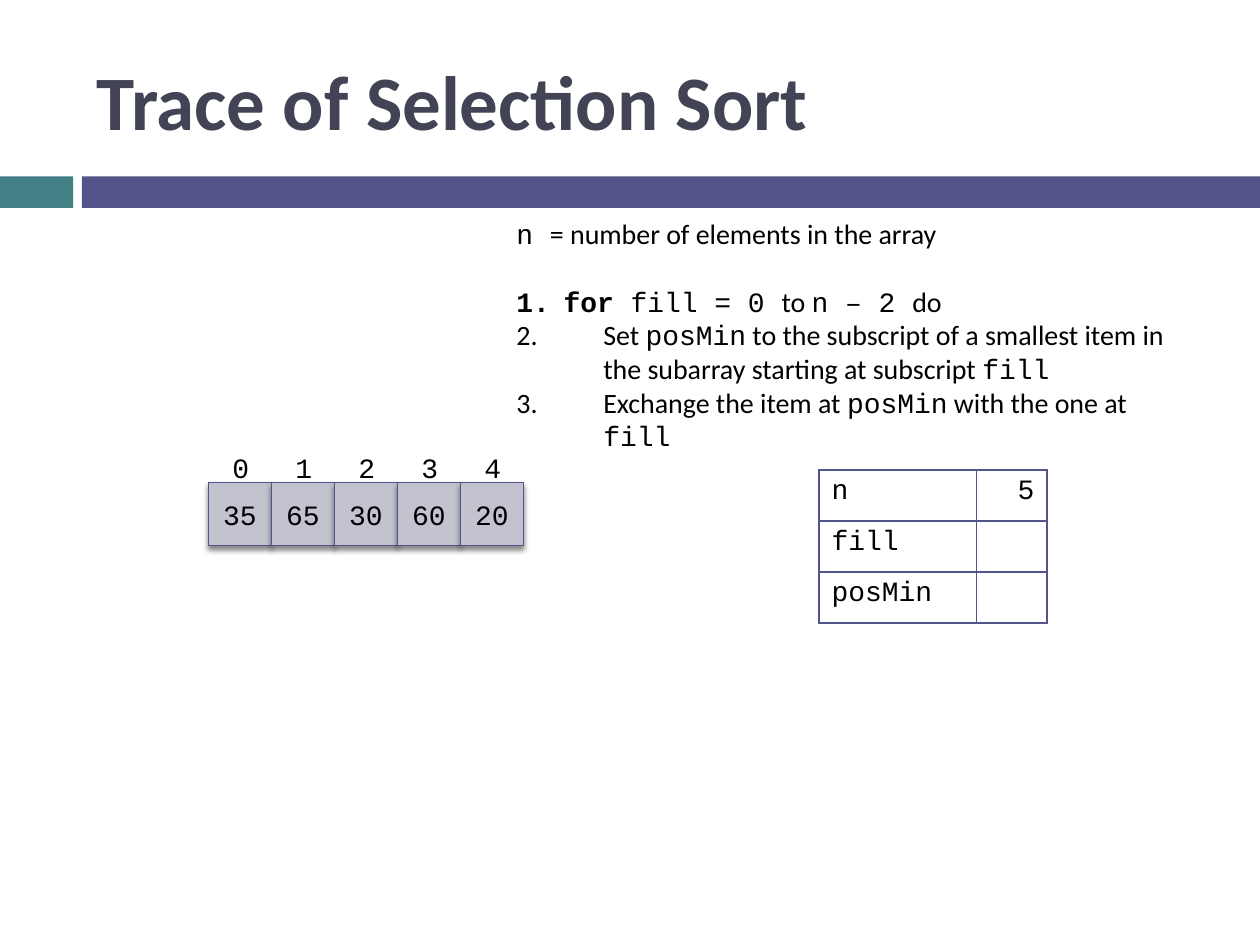
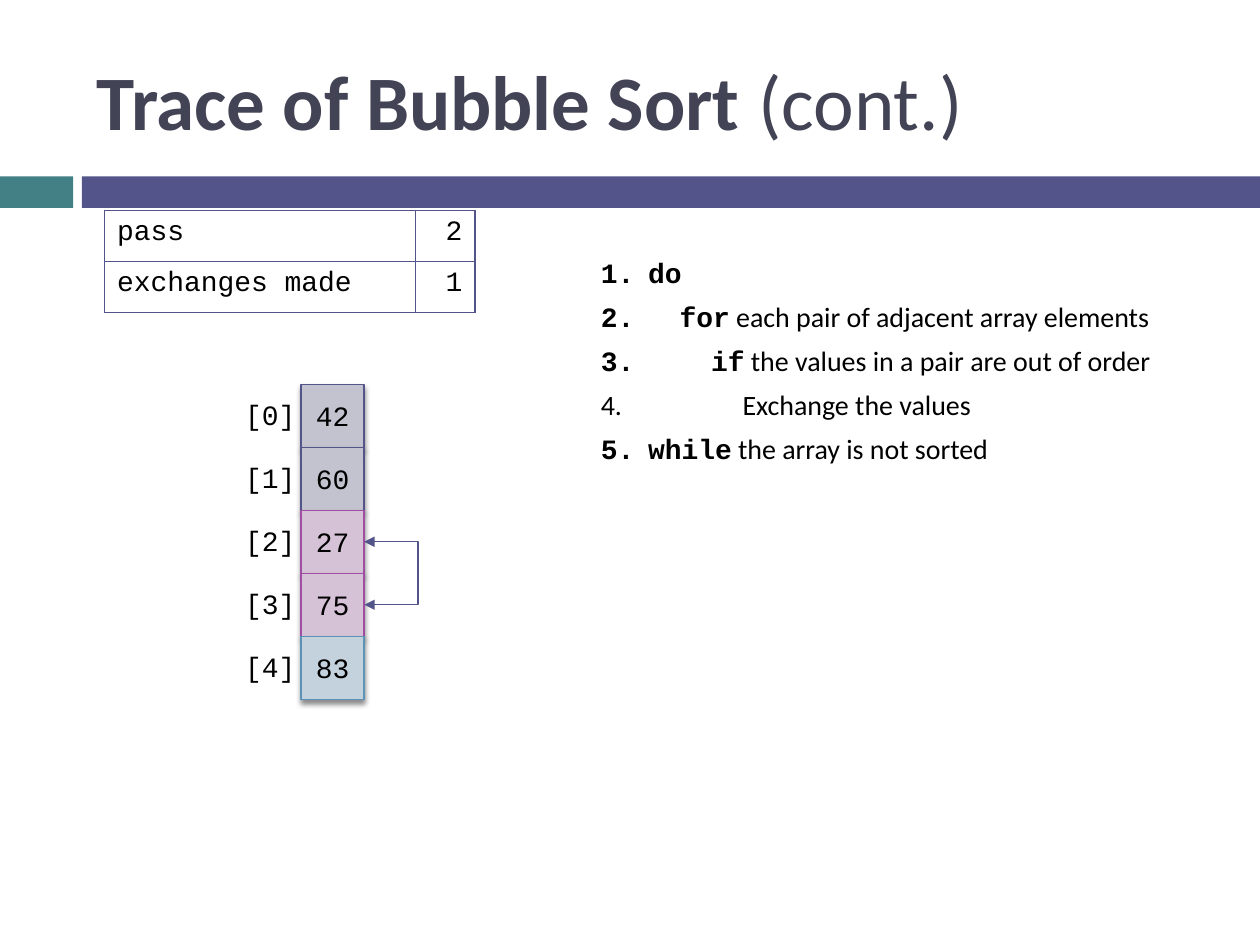
from lxml.etree import SubElement
from pptx import Presentation
from pptx.dml.color import RGBColor
from pptx.enum.shapes import MSO_CONNECTOR, MSO_SHAPE
from pptx.enum.text import MSO_ANCHOR, PP_ALIGN
from pptx.oxml import parse_xml
from pptx.oxml.ns import nsdecls, qn
from pptx.util import Emu, Inches, Pt

theme = {
    "ink": "000000", "head": "424456", "teal": "438086", "line": "53548A",
    "thin": Pt(0.79), "edge": Pt(1),
    "tones": {"plain": ("C3C3CF", "53548A"), "pair": ("D6C2D7", "A04DA3"),
              "done": ("C4D2DE", "5C92B5")},
    "type": {
        "text": {"name": "Calibri", "size": Pt(16), "bold": False},
        "code": {"name": "Courier New", "size": Pt(16), "bold": False},
        "key": {"name": "Courier New", "size": Pt(16), "bold": True},
        "title": {"name": "Calibri", "size": Pt(44), "bold": True},
        "light": {"name": "Calibri", "size": Pt(44), "bold": False},
    },
}
left = {"alignment": PP_ALIGN.LEFT}
mid = {"alignment": PP_ALIGN.CENTER}
right = {"alignment": PP_ALIGN.RIGHT}
step = {"space_after": Pt(6)}

deck = Presentation()
deck.slide_width, deck.slide_height = Inches(10), Inches(7.5)
unit = deck.slide_width / 20


def grid(*counts):
    return [Emu(int(n * unit)) for n in counts]


def write(frame, lines, tint=theme["ink"]):
    frame.word_wrap = True
    for i, (runs, form, dent) in enumerate(lines):
        para = frame.add_paragraph() if i else frame.paragraphs[0]
        for name, value in form.items():
            setattr(para, name, value)
        if dent:
            props = para._p.get_or_add_pPr()
            size = grid(dent)[0]
            props.set("marL", str(size))
            props.set("indent", str(-size))
            SubElement(props, qn("a:buAutoNum"), type="arabicPeriod")
        for style, words in runs:
            run = para.add_run()
            run.text = words
            for name, value in theme["type"][style].items():
                setattr(run.font, name, value)
            run.font.color.rgb = RGBColor.from_string(tint)


pages = [
    {
        "title": [("title", "Trace of Selection Sort")],
        "steps": (8, 3.34, 11.16, 3.44),
        "lines": [
            ([("code", "n "), ("text", "= number of elements in the array")],
             {"space_after": Pt(19.5)}, 0),
            ([("key", "for"), ("code", " fill = 0 "), ("text", "to "),
              ("code", "n – 2 "), ("text", "do")], {}, 0.75),
            ([("text", "Set "), ("code", "posMin"),
              ("text", " to the subscript of a smallest item in the subarray"
                       " starting at subscript "),
              ("code", "fill")], {}, 1.38),
            ([("text", "Exchange the item at "), ("code", "posMin"),
              ("text", " with the one at "), ("code", "fill")], {}, 1.38),
        ],
        "cells": [(n, "plain") for n in (35, 65, 30, 60, 20)],
        "start": (3.31, 7.66), "move": (1, 0),
        "label": "{}", "tag": (3.34, 7.06, 0.96, 0.74),
        "table": (13, 7.46), "cols": (2.5, 1.12),
        "rows": [("n", "5"), ("fill", ""), ("posMin", "")],
    },
    {
        "title": [("title", "Trace of Bubble Sort "), ("light", "(cont.)")],
        "steps": (9.34, 3.96, 10.34, 4.28),
        "lines": [
            ([("key", "do")], step, 0.75),
            ([("key", "for"),
              ("text", " each pair of adjacent array elements")], step, 1.25),
            ([("key", "if"),
              ("text", " the values in a pair are out of order")], step, 1.75),
            ([("text", "Exchange the values")], step, 2.25),
            ([("key", "while"),
              ("text", " the array is not sorted")], step, 0.75),
        ],
        "cells": [(42, "plain"), (60, "plain"), (27, "pair"), (75, "pair"),
                  (83, "done")],
        "start": (4.78, 6.1), "move": (0, 1),
        "label": "[{}]", "tag": (3.56, 6.22, 1.46, 0.74),
        "table": (1.66, 3.34), "cols": (4.94, 0.94),
        "rows": [("pass", "2"), ("exchanges made", "1")],
    },
]

for page in pages:
    slide = deck.slides.add_slide(deck.slide_layouts[6])
    shapes = slide.shapes

    for spot, tint in (((0, 2.8, 1.16, 0.5), "teal"),
                       ((1.3, 2.8, 18.7, 0.5), "line")):
        band = shapes.add_shape(MSO_SHAPE.RECTANGLE, *grid(*spot))
        band.shadow.inherit = False
        band.fill.solid()
        band.fill.fore_color.rgb = RGBColor.from_string(theme[tint])
        band.line.fill.background()

    title = shapes.add_textbox(*grid(1.34, 0.5, 17.84, 2.16))
    title.text_frame.vertical_anchor = MSO_ANCHOR.MIDDLE
    write(title.text_frame, [(page["title"], left, 0)], theme["head"])

    steps = shapes.add_textbox(*grid(*page["steps"]))
    write(steps.text_frame, page["lines"])

    across, down = page["move"]
    x, y = page["start"]
    for i, (value, tone) in enumerate(page["cells"]):
        fill, edge = theme["tones"][tone]
        cell = shapes.add_shape(MSO_SHAPE.RECTANGLE,
                                *grid(x + i * across, y + i * down, 1, 1))
        cell.fill.solid()
        cell.fill.fore_color.rgb = RGBColor.from_string(fill)
        cell.line.color.rgb = RGBColor.from_string(edge)
        cell.line.width = theme["thin"]
        cell._element.spPr.append(parse_xml(
            f'<a:effectLst {nsdecls("a")}><a:outerShdw blurRad="{Pt(3)}" '
            f'dist="{Pt(2.4)}" dir="5400000" rotWithShape="0">'
            '<a:srgbClr val="000000"><a:alpha val="45000"/></a:srgbClr>'
            '</a:outerShdw></a:effectLst>'))
        cell.text_frame.vertical_anchor = MSO_ANCHOR.MIDDLE
        write(cell.text_frame, [([("code", str(value))], mid, 0)])

    x, y, wide, high = page["tag"]
    for i in range(len(page["cells"])):
        tag = shapes.add_textbox(
            *grid(x + i * across, y + i * down, wide, high))
        write(tag.text_frame,
              [([("code", page["label"].format(i))], mid, 0)])

    rows, cols = page["rows"], page["cols"]
    spot = grid(*page["table"], sum(cols), 0.81 * len(rows))
    table = shapes.add_table(len(rows), len(cols), *spot).table
    for name in ("first_row", "horz_banding"):
        setattr(table, name, False)
    for col, wide in zip(table.columns, grid(*cols)):
        col.width = wide
    for r, row in enumerate(rows):
        for c, words in enumerate(row):
            cell = table.cell(r, c)
            props = cell._tc.get_or_add_tcPr()
            for side in "LRTB":
                props.append(parse_xml(
                    f'<a:ln{side} {nsdecls("a")} w="{theme["edge"]}">'
                    f'<a:solidFill><a:srgbClr val="{theme["line"]}"/>'
                    f'</a:solidFill></a:ln{side}>'))
            cell.fill.background()
            if words:
                write(cell.text_frame,
                      [([("code", words)], right if c else left, 0)])

x, top, end, reach = grid(5.78, 8.6, 9.6, 0.95)
slim = Emu(1600)
swap = shapes.add_connector(MSO_CONNECTOR.ELBOW, x, top, x + slim, end)
swap.line.color.rgb = RGBColor.from_string(theme["line"])
swap.line.width = theme["thin"]
props = swap._element.spPr
bend = props.find(qn("a:prstGeom")).find(qn("a:avLst"))
SubElement(bend, qn("a:gd"), name="adj1",
           fmla=f"val {int(reach / slim * 100000)}")
for tip in ("a:headEnd", "a:tailEnd"):
    SubElement(props.find(qn("a:ln")), qn(tip), type="triangle")
SubElement(props, qn("a:effectLst"))

deck.save("out.pptx")
